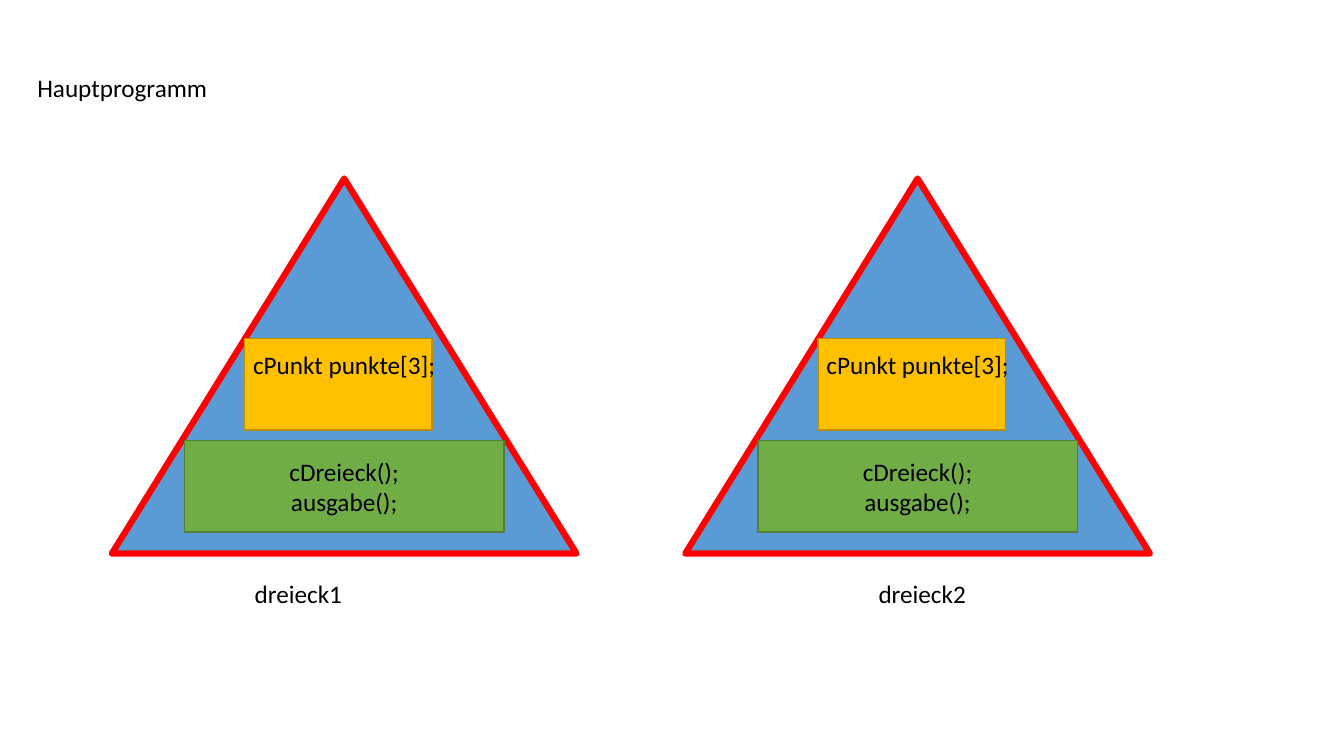
from dataclasses import dataclass

from pptx import Presentation
from pptx.dml.color import RGBColor
from pptx.enum.shapes import MSO_SHAPE
from pptx.enum.text import MSO_AUTO_SIZE, PP_ALIGN
from pptx.slide import Slide
from pptx.util import Cm, Pt

COLORS = {
    "triangle": "5B9BD5",
    "triangle_edge": "FF0000",
    "methods": "70AD47",
    "methods_edge": "538035",
    "attributes": "FFC000",
    "attributes_edge": "BD8E00",
    "text": "000000",
}


@dataclass(frozen=True)
class Area:
    left: float
    top: float
    width: float
    height: float

    def shifted(self, distance: float) -> "Area":
        return Area(self.left + distance, self.top, self.width, self.height)

    def lengths(self) -> tuple[Cm, Cm, Cm, Cm]:
        return Cm(self.left), Cm(self.top), Cm(self.width), Cm(self.height)


@dataclass(frozen=True)
class Figure:
    preset: MSO_SHAPE
    area: Area
    color: str
    edge_width: float


@dataclass(frozen=True)
class Caption:
    text: str
    area: Area
    centered: bool = False


@dataclass(frozen=True)
class Instance:
    left: float
    name: Caption


PARTS = (
    Figure(MSO_SHAPE.ISOSCELES_TRIANGLE, Area(0, 4.5, 11.71, 9.45), "triangle", 4.5),
    Figure(MSO_SHAPE.RECTANGLE, Area(1.83, 11.1, 8.05, 2.31), "methods", 1),
    Caption("cDreieck();\nausgabe();", Area(2.16, 11.38, 7.39, 1.8), True),
    Figure(MSO_SHAPE.RECTANGLE, Area(3.35, 8.53, 4.72, 2.31), "attributes", 1),
    Caption("cPunkt punkte[3];", Area(2.16, 8.69, 7.39, 1.02), True),
)

INSTANCES = (
    Instance(2.82, Caption("dreieck1", Area(6.17, 14.45, 2.74, 1.02))),
    Instance(17.27, Caption("dreieck2", Area(21.89, 14.45, 2.74, 1.02))),
)

PROGRAM = Caption("Hauptprogramm", Area(0.69, 1.7, 4.98, 1.02))


def draw_figure(slide: Slide, figure: Figure, offset: float) -> None:
    outline = slide.shapes.add_shape(figure.preset, *figure.area.shifted(offset).lengths())
    outline.shadow.inherit = False
    outline.fill.solid()
    outline.fill.fore_color.rgb = RGBColor.from_string(COLORS[figure.color])
    outline.line.color.rgb = RGBColor.from_string(COLORS[f"{figure.color}_edge"])
    outline.line.width = Pt(figure.edge_width)


def draw_caption(slide: Slide, caption: Caption, offset: float = 0) -> None:
    frame = slide.shapes.add_textbox(*caption.area.shifted(offset).lengths()).text_frame
    frame.word_wrap = caption.centered
    frame.auto_size = MSO_AUTO_SIZE.SHAPE_TO_FIT_TEXT
    frame.text = caption.text
    for paragraph in frame.paragraphs:
        paragraph.alignment = PP_ALIGN.CENTER if caption.centered else PP_ALIGN.LEFT
        for run in paragraph.runs:
            run.font.name = "Calibri"
            run.font.size = Pt(18)
            run.font.color.rgb = RGBColor.from_string(COLORS["text"])


def draw_instance(slide: Slide, instance: Instance) -> None:
    for part in PARTS:
        if isinstance(part, Figure):
            draw_figure(slide, part, instance.left)
        else:
            draw_caption(slide, part, instance.left)
    draw_caption(slide, instance.name)


def main() -> None:
    presentation = Presentation()
    presentation.slide_width = Cm(33.87)
    presentation.slide_height = Cm(19.05)
    slide = presentation.slides.add_slide(presentation.slide_layouts[6])
    draw_caption(slide, PROGRAM)
    for instance in INSTANCES:
        draw_instance(slide, instance)
    presentation.save("out.pptx")


if __name__ == "__main__":
    main()
